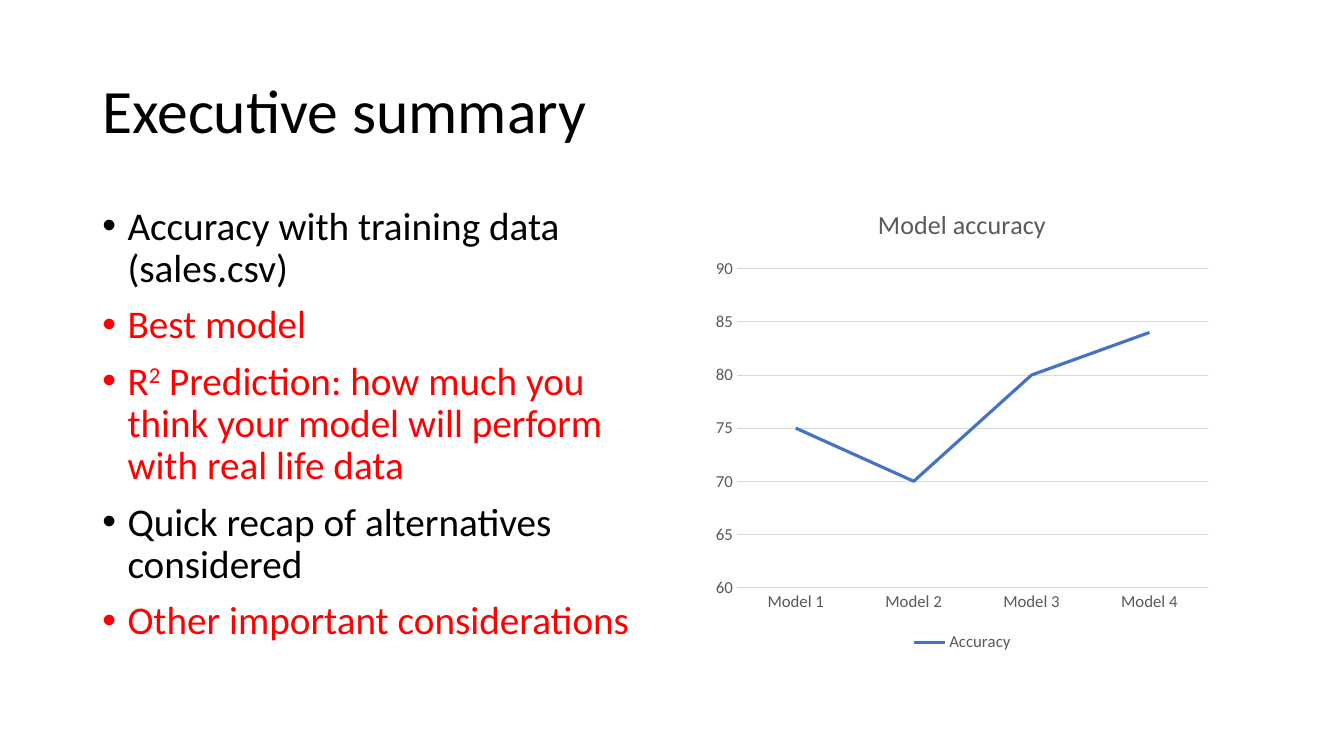
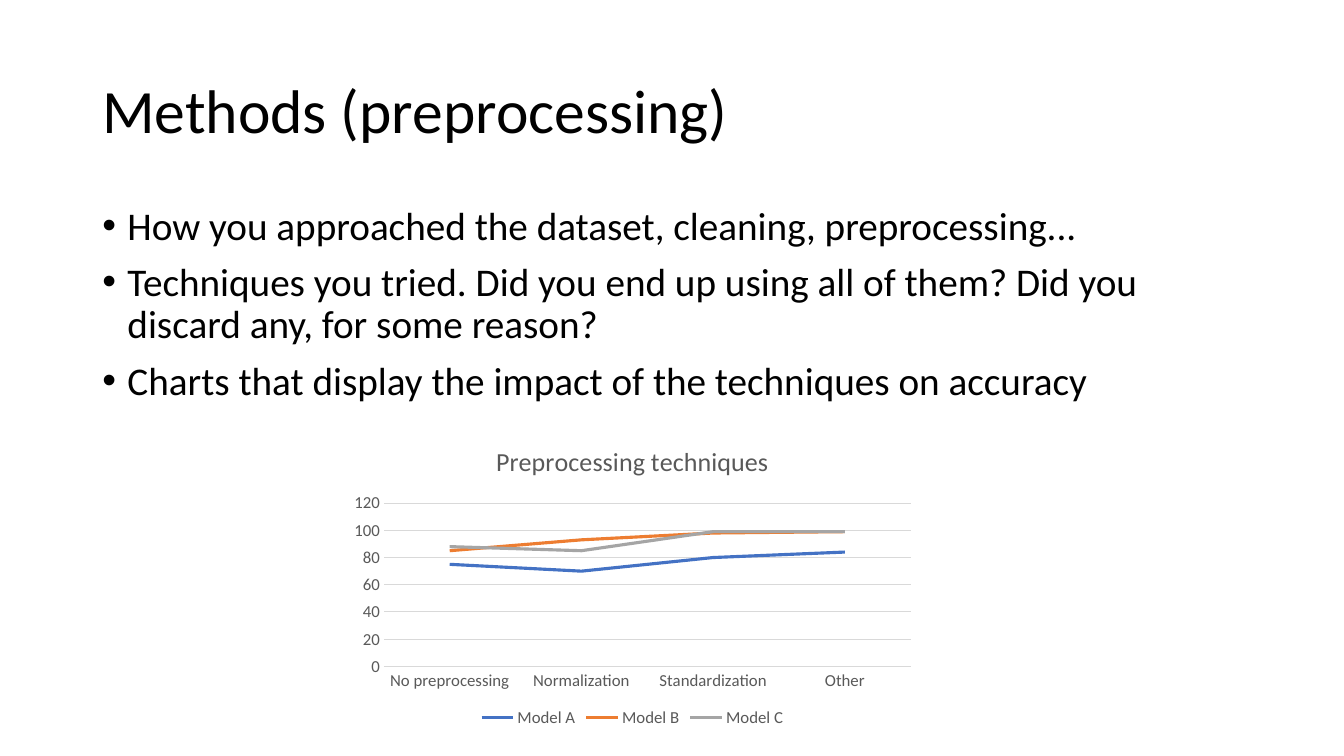
from lxml.etree import SubElement
from pptx import Presentation
from pptx.chart.data import CategoryChartData
from pptx.dml.color import RGBColor
from pptx.enum.chart import XL_CHART_TYPE as ChartType
from pptx.enum.chart import XL_LEGEND_POSITION as LegendPosition
from pptx.enum.chart import XL_TICK_MARK as TickMark
from pptx.enum.text import MSO_ANCHOR as Anchor
from pptx.oxml.ns import qn
from pptx.util import Pt

FONT = "Calibri"
COLORS = {
    "text": "000000",
    "highlight": "FF0000",
    "chart_text": "595959",
    "grid": "D9D9D9",
}
SERIES_COLORS = ["4472C4", "ED7D31", "A5A5A5"]
TITLE_BOX = (66, 28.75, 828, 104.4)


def style_font(font, size, color):
    font.name = FONT
    font.size = Pt(size)
    font.bold = False
    font.color.rgb = RGBColor.from_string(color)


def add_text_frame(slide, box, anchor):
    frame = slide.shapes.add_textbox(*map(Pt, box)).text_frame
    frame.word_wrap = True
    frame.vertical_anchor = anchor
    return frame


def add_title(slide, text):
    paragraph = add_text_frame(slide, TITLE_BOX, Anchor.MIDDLE).paragraphs[0]
    paragraph.text = text
    paragraph.line_spacing = 0.9
    style_font(paragraph.font, 44, COLORS["text"])


def set_bullet(paragraph, color):
    properties = paragraph._p.get_or_add_pPr()
    properties.set("marL", str(Pt(18)))
    properties.set("indent", str(Pt(-18)))
    bullet_color = SubElement(properties, qn("a:buClr"))
    SubElement(bullet_color, qn("a:srgbClr"), val=color)
    SubElement(properties, qn("a:buFont"), typeface="Arial")
    SubElement(properties, qn("a:buChar"), char="•")


def add_bullets(slide, box, items):
    frame = add_text_frame(slide, box, Anchor.TOP)
    for index, (text, color_name) in enumerate(items):
        paragraph = frame.add_paragraph() if index else frame.paragraphs[0]
        color = COLORS[color_name]
        set_bullet(paragraph, color)
        paragraph.line_spacing = 0.9
        paragraph.space_before = Pt(10)
        style_font(paragraph.font, 28, color)
        for position, part in enumerate(text.split("^")):
            run = paragraph.add_run()
            run.text = part
            if position % 2:
                run._r.get_or_add_rPr().set("baseline", "30000")


def style_axes(chart, scale):
    category_axis, value_axis = chart.category_axis, chart.value_axis
    for axis in (category_axis, value_axis):
        axis.major_tick_mark = axis.minor_tick_mark = TickMark.NONE
        style_font(axis.tick_labels.font, 12, COLORS["chart_text"])
    value_axis.minimum_scale, value_axis.maximum_scale, value_axis.major_unit = scale
    value_axis.has_major_gridlines = True
    value_axis.format.line.fill.background()
    for line in (category_axis.format.line, value_axis.major_gridlines.format.line):
        line.color.rgb = RGBColor.from_string(COLORS["grid"])
        line.width = Pt(0.75)


def add_line_chart(slide, box, title, categories, series_values, scale):
    data = CategoryChartData()
    data.categories = categories
    for name, values in series_values.items():
        data.add_series(name, values)
    chart = slide.shapes.add_chart(ChartType.LINE, *map(Pt, box), data).chart
    style_font(chart.font, 10, COLORS["text"])
    chart.has_title = True
    chart.chart_title.include_in_layout = False
    paragraph = chart.chart_title.text_frame.paragraphs[0]
    paragraph.text = title
    style_font(paragraph.font, 18.6, COLORS["chart_text"])
    chart.has_legend = True
    chart.legend.position = LegendPosition.BOTTOM
    chart.legend.include_in_layout = False
    style_font(chart.legend.font, 12, COLORS["chart_text"])
    style_axes(chart, scale)
    chart.plots[0].vary_by_categories = False
    for series, color in zip(chart.plots[0].series, SERIES_COLORS):
        series.smooth = False
        series.format.line.color.rgb = RGBColor.from_string(color)
        series.format.line.width = Pt(2.25)


def add_content_slide(presentation, title, bullets, bullet_box, chart):
    slide = presentation.slides.add_slide(presentation.slide_layouts[6])
    add_title(slide, title)
    add_bullets(slide, bullet_box, bullets)
    add_line_chart(slide, **chart)


def main():
    presentation = Presentation()
    presentation.slide_width, presentation.slide_height = Pt(960), Pt(540)
    add_content_slide(
        presentation,
        "Executive summary",
        [
            ("Accuracy with training data (sales.csv)", "text"),
            ("Best model", "highlight"),
            (
                "R^2^ Prediction: how much you think your model will perform "
                "with real life data",
                "highlight",
            ),
            ("Quick recap of alternatives considered", "text"),
            ("Other important considerations", "highlight"),
        ],
        (66, 143.75, 414, 342.6),
        {
            "box": (504, 133.2, 366.5, 335.5),
            "title": "Model accuracy",
            "categories": [f"Model {number}" for number in range(1, 5)],
            "series_values": {"Accuracy": (75, 70, 80, 84)},
            "scale": (60, 90, 5),
        },
    )
    add_content_slide(
        presentation,
        "Methods (preprocessing)",
        [
            ("How you approached the dataset, cleaning, preprocessing...", "text"),
            (
                "Techniques you tried. Did you end up using all of them? "
                "Did you discard any, for some reason?",
                "text",
            ),
            ("Charts that display the impact of the techniques on accuracy", "text"),
        ],
        (66, 143.75, 828, 342.6),
        {
            "box": (244.8, 305.3, 414, 217.4),
            "title": "Preprocessing techniques",
            "categories": [
                "No preprocessing",
                "Normalization",
                "Standardization",
                "Other",
            ],
            "series_values": {
                "Model A": (75, 70, 80, 84),
                "Model B": (85, 93, 98, 99),
                "Model C": (88, 85, 99, 99),
            },
            "scale": (0, 120, 20),
        },
    )
    presentation.save("out.pptx")


if __name__ == "__main__":
    main()
